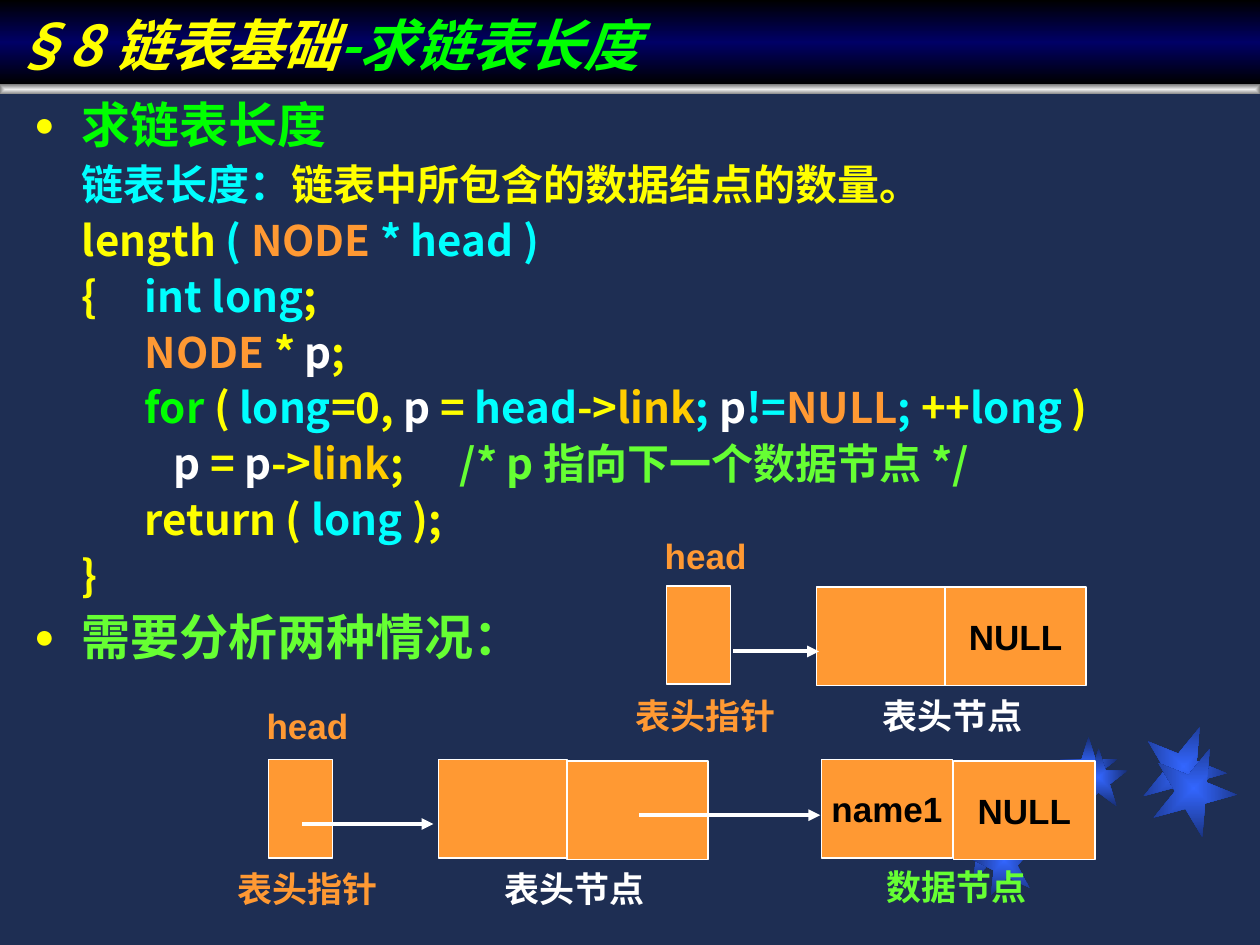
from lxml import etree
from pptx import Presentation
from pptx.dml.color import RGBColor
from pptx.enum.shapes import MSO_CONNECTOR, MSO_SHAPE
from pptx.enum.text import MSO_ANCHOR, MSO_AUTO_SIZE, PP_ALIGN
from pptx.oxml import parse_xml
from pptx.oxml.ns import nsdecls, qn
from pptx.util import Inches, Pt

COLORS = {
    "bg": "1E2E53", "yellow": "FFFF00", "green": "00FF00", "cyan": "00FFFF",
    "orange": "FF9933", "white": "FFFFFF", "gold": "FFCC00", "lime": "66FF33",
    "black": "000000", "navy": "000066", "star": "3366FF", "star_edge": "182F76",
    "silver": "EDEDED", "gray": "808080",
}
CJK = "Noto Sans CJK SC"

# Content: runs are (text, colour)
TITLE = [("§8 链表基础", "yellow"), ("-求链表长度", "green")]
BODY = [  # (is a bullet, runs)
    (True, [("求链表长度", "green")]),
    (False, [("\t", "yellow"), ("链表长度：", "cyan"),
             ("链表中所包含的数据结点的数量。", "yellow")]),
    (False, [("\tlength", "yellow"), (" ( ", "cyan"), ("NODE", "orange"),
             (" * head )", "cyan")]),
    (False, [("\t{\t", "yellow"), ("int long", "cyan"), (";", "yellow")]),
    (False, [("\t\t", "yellow"), ("NODE", "orange"), (" * ", "yellow"),
             ("p", "white"), (";", "yellow")]),
    (False, [("\t\t", "yellow"), ("for ", "green"), ("( ", "yellow"),
             ("long", "cyan"), ("=0,", "yellow"), (" p ", "white"),
             ("=", "yellow"), (" head", "cyan"), ("->", "yellow"),
             ("link", "gold"), ("; ", "cyan"), ("p", "white"), ("!=", "cyan"),
             ("NULL", "orange"), ("; ", "cyan"), ("++", "yellow"),
             ("long ", "cyan"), (")", "yellow")]),
    (False, [("\t\t   ", "yellow"), ("p", "white"), (" = ", "yellow"),
             ("p", "white"), ("->", "yellow"), ("link", "gold"),
             (";\t", "yellow"), ("/* p 指向下一个数据节点 */", "lime")]),
    (False, [("\t\treturn ( ", "yellow"), ("long", "cyan"), (" );", "yellow")]),
    (False, [("\t}", "yellow")]),
    (True, [("需要分析两种情况：", "lime")]),
]
CODE_TABS = (0, 1, 3.73)  # body, indented code, trailing comment

STARS = [  # left, top, size, rotation
    (7.58, 6.47, 0.5, -11), (8.41, 5.85, 0.46, 0), (9.06, 5.75, 0.67, 22),
    (7.72, 6.58, 0.5, -11), (8.49, 5.94, 0.46, 0), (9.14, 5.92, 0.67, 22),
]
CELL_H = 0.78
CELLS = [  # left, top, width, text
    (5.29, 4.65, 0.51, ""), (6.48, 4.66, 1.02, ""), (7.5, 4.66, 1.12, "NULL"),
    (2.13, 6.03, 0.51, ""), (3.48, 6.03, 1.02, ""), (4.5, 6.04, 1.12, ""),
    (6.52, 6.03, 1.04, "name1"), (7.57, 6.04, 1.12, "NULL"),
]
LABELS = [  # left, top, text, colour
    (4.86, 4.21, "head", "orange"), (4.86, 5.48, "表头指针", "orange"),
    (6.82, 5.48, "表头节点", "white"),
    (1.7, 5.56, "head", "orange"), (1.7, 6.86, "表头指针", "orange"),
    (3.82, 6.86, "表头节点", "white"), (6.85, 6.84, "数据节点", "lime"),
]
ARROWS = [(5.82, 6.5, 5.17), (2.4, 3.44, 6.54), (5.07, 6.51, 6.47)]  # x1, x2, y


def rgb(name):
    return RGBColor.from_string(COLORS[name])


def place(sp, *box):
    sp.left, sp.top, sp.width, sp.height = map(Inches, box)


def add_runs(p, runs, size, font=CJK, italic=None):
    for text, color in runs:
        r = p.add_run()
        r.text = text
        f = r.font
        f.size, f.bold, f.italic, f.name = Pt(size), True, italic, font
        f.color.rgb = rgb(color)
        etree.SubElement(r._r.get_or_add_rPr(), qn("a:ea")).set("typeface", CJK)


def set_label(sp, text, color):
    tf = sp.text_frame
    tf.word_wrap = False
    tf.vertical_anchor = MSO_ANCHOR.MIDDLE
    tf.paragraphs[0].alignment = PP_ALIGN.CENTER
    add_runs(tf.paragraphs[0], [(text, color)], 20, font="Arial")


def set_gradient(sp, names, from_center=True):
    stops = "".join(
        f'<a:gs pos="{round(i * 100000 / (len(names) - 1))}">'
        f'<a:srgbClr val="{COLORS[n]}"/></a:gs>' for i, n in enumerate(names))
    shade = ('<a:path path="rect"><a:fillToRect l="50000" t="50000" r="50000" '
             'b="50000"/></a:path>' if from_center
             else '<a:lin ang="5400000" scaled="0"/>')
    sp.fill.background()
    old = sp._element.spPr.find(qn("a:noFill"))
    old.getparent().replace(old, parse_xml(
        f'<a:gradFill {nsdecls("a")}><a:gsLst>{stops}</a:gsLst>{shade}</a:gradFill>'))


def add_preset(shapes, kind, *box):
    sp = shapes.add_shape(kind, *map(Inches, box))
    sp.shadow.inherit = False
    sp.line.fill.background()
    return sp


def format_line(p, is_bullet, first):
    p.line_spacing = 0.9
    p.space_before = Pt(0 if first else 7 if is_bullet else 6)
    pPr = p._p.get_or_add_pPr()
    pPr.set("marL", str(Inches(0.38)))
    pPr.set("indent", str(-Inches(0.38)))
    if is_bullet:
        clr = etree.SubElement(pPr, qn("a:buClr"))
        etree.SubElement(clr, qn("a:srgbClr")).set("val", COLORS["yellow"])
        etree.SubElement(pPr, qn("a:buSzPct")).set("val", "70000")
        etree.SubElement(pPr, qn("a:buChar")).set("char", "●")
    else:
        etree.SubElement(pPr, qn("a:buNone"))
        tabs = etree.SubElement(pPr, qn("a:tabLst"))
        for pos in CODE_TABS:
            etree.SubElement(tabs, qn("a:tab"), pos=str(Inches(pos)), algn="l")


def main():
    prs = Presentation()
    prs.slide_width, prs.slide_height = Inches(10), Inches(7.5)
    s = prs.slides.add_slide(prs.slide_layouts[1])
    s.background.fill.solid()
    s.background.fill.fore_color.rgb = rgb("bg")

    # Title band and the bar below it
    title, body = s.shapes.title, s.placeholders[1]
    place(title, 0, 0, 10, 0.67)
    set_gradient(title, ["black", "navy", "black"], from_center=False)
    tf = title.text_frame
    tf.auto_size = MSO_AUTO_SIZE.NONE
    tf.vertical_anchor = MSO_ANCHOR.BOTTOM
    tf.paragraphs[0].alignment = PP_ALIGN.LEFT
    add_runs(tf.paragraphs[0], TITLE, 32, italic=True)
    bar = add_preset(s.shapes, MSO_SHAPE.RECTANGLE, 0, 0.67, 10, 0.08)
    set_gradient(bar, ["silver", "gray"])

    # Body with the code
    place(body, 0.17, 0.75, 9.75, 4.85)
    tf = body.text_frame
    tf.auto_size = MSO_AUTO_SIZE.NONE
    for i, (is_bullet, runs) in enumerate(BODY):
        p = tf.add_paragraph() if i else tf.paragraphs[0]
        format_line(p, is_bullet, first=i == 0)
        add_runs(p, runs, 28 if is_bullet else 24)

    # Background stars
    for left, top, size, rotation in STARS:
        star = add_preset(s.shapes, MSO_SHAPE.STAR_5_POINT, left, top, size, size)
        star.rotation = rotation
        set_gradient(star, ["star", "star_edge"])

    # Linked list nodes, labels and pointers
    for left, top, width, text in CELLS:
        cell = add_preset(s.shapes, MSO_SHAPE.RECTANGLE, left, top, width, CELL_H)
        cell.fill.solid()
        cell.fill.fore_color.rgb = rgb("orange")
        cell.line.color.rgb = rgb("white")
        cell.line.width = Pt(0.75)
        if text:
            set_label(cell, text, "black")
    for left, top, text, color in LABELS:
        box = s.shapes.add_textbox(*map(Inches, (left, top, 1.48, 0.39)))
        set_label(box, text, color)
    for x1, x2, y in ARROWS:
        arrow = s.shapes.add_connector(
            MSO_CONNECTOR.STRAIGHT, *map(Inches, (x1, y, x2, y)))
        arrow.line.color.rgb = rgb("white")
        arrow.line.width = Pt(2.25)
        etree.SubElement(arrow.line._get_or_add_ln(), qn("a:tailEnd"), type="triangle")
        etree.SubElement(arrow._element.spPr, qn("a:effectLst"))

    prs.save("out.pptx")


if __name__ == "__main__":
    main()
